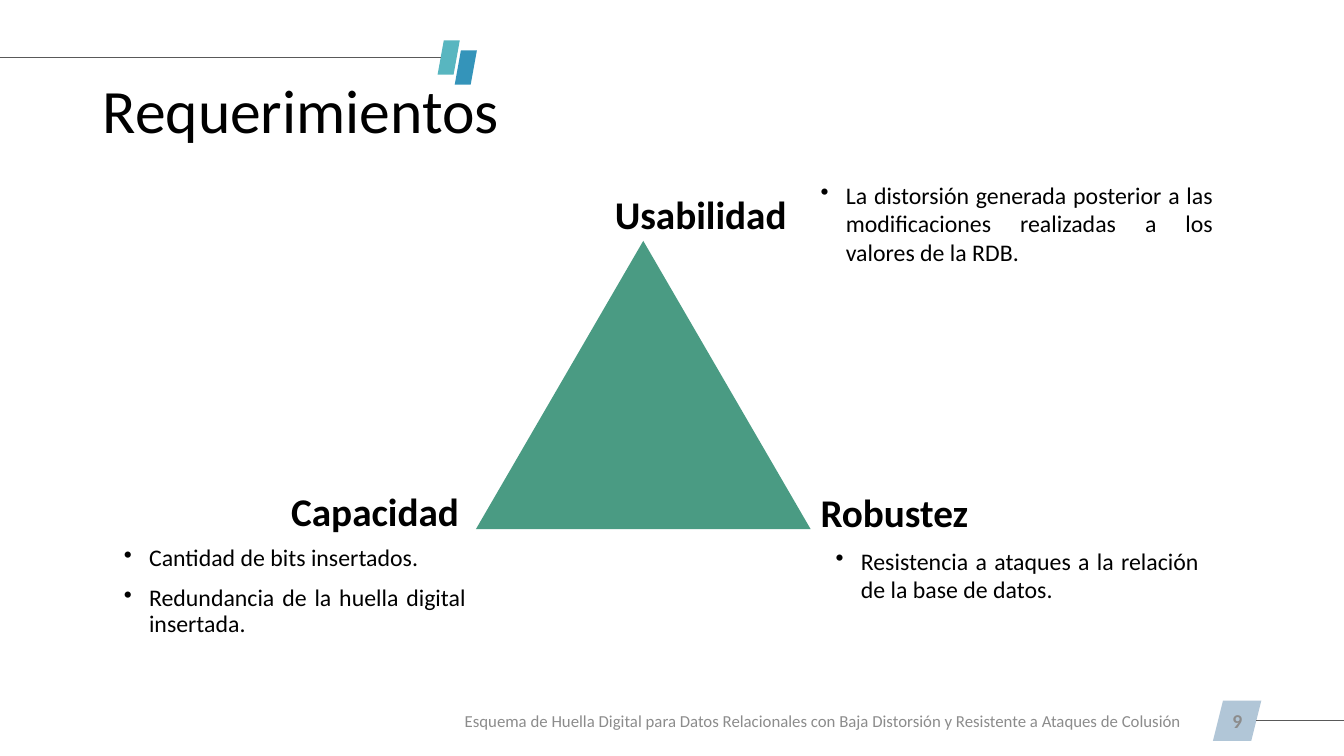
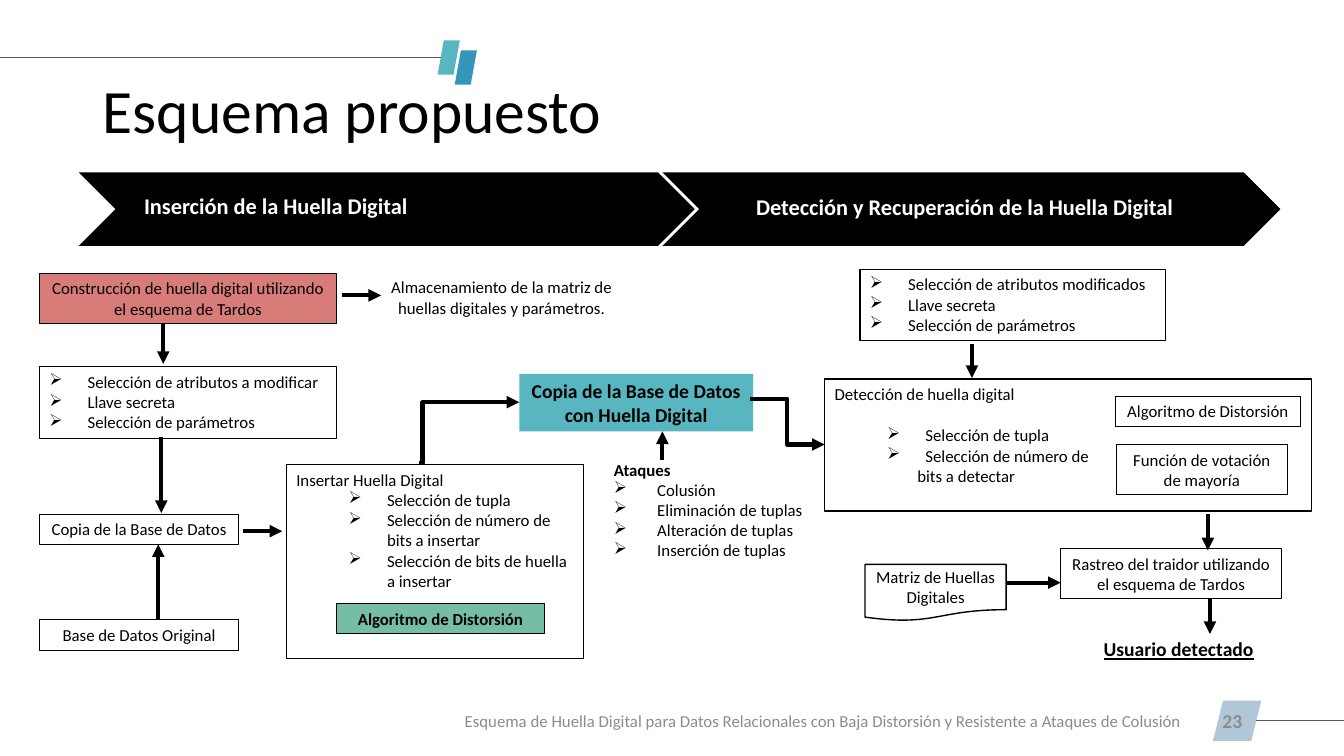
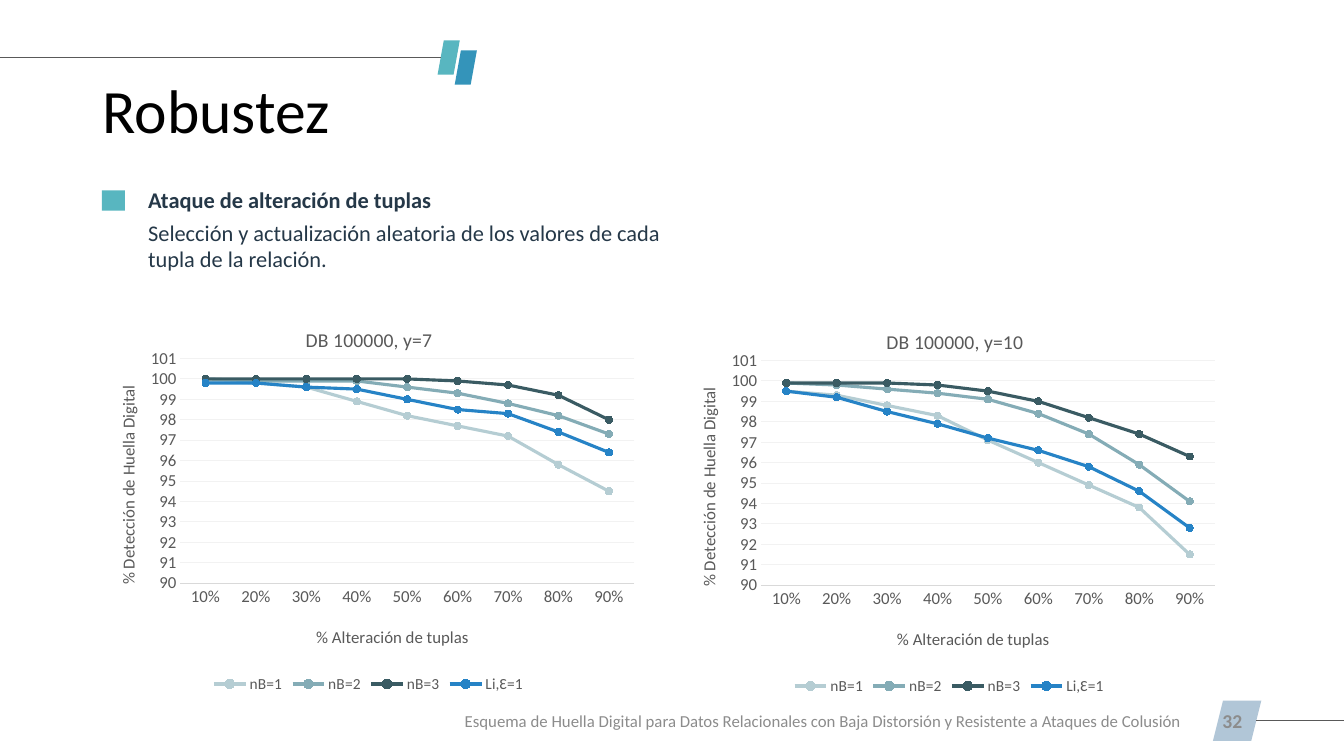
from lxml import etree
from pptx import Presentation
from pptx import util as u
from pptx.chart.data import CategoryChartData
from pptx.dml.color import RGBColor
from pptx.enum import chart as ch, shapes, text
from pptx.oxml.ns import qn

PX = 9144  # 100 px to the inch
FONT = "Calibri"
BLACK, WHITE, GRAY, DARK, NAVY = "000000", "FFFFFF", "8C8C8C", "595959", "253848"
TEAL, BLUE, PALE, GREEN, MINT, RED = "58B6C0", "3494BA", "B1C6D7", "4A9B83", "75BDA7", "D87C79"
FOOT = ("Esquema de Huella Digital para Datos Relacionales con Baja Distorsión "
        "y Resistente a Ataques de Colusión")
rgb = RGBColor.from_string
KIND = shapes.MSO_SHAPE
LEFT, MID, RIGHT, JUST = (text.PP_ALIGN.LEFT, text.PP_ALIGN.CENTER,
                          text.PP_ALIGN.RIGHT, text.PP_ALIGN.JUSTIFY)


def box(slide, at, lines=(), kind=None, fill=None, edge=None, size=12, tint=BLACK,
        bold=False, align=LEFT, mid=False, lead=1, gap=0, left=38, hang=38, inset=True):
    """Draw a shape, or a text box if kind is None; lines that start with • or ➢ get that bullet."""
    at = [n * PX for n in at]
    if kind is None:
        shape = slide.shapes.add_textbox(*at)
    else:
        shape = slide.shapes.add_shape(kind, *at)
        shape.shadow.inherit = False
        if fill:
            shape.fill.solid()
            shape.fill.fore_color.rgb = rgb(fill)
        else:
            shape.fill.background()
        if edge:
            shape.line.color.rgb = rgb(BLACK)
            shape.line.width = u.Pt(edge)
        else:
            shape.line.fill.background()
    frame = shape.text_frame
    frame.word_wrap = True
    frame.vertical_anchor = text.MSO_ANCHOR.MIDDLE if mid else text.MSO_ANCHOR.TOP
    if not inset:
        frame.margin_left = frame.margin_right = frame.margin_top = frame.margin_bottom = 0
    for i, line in enumerate(lines):
        para = frame.add_paragraph() if i else frame.paragraphs[0]
        para.text = line.lstrip("•➢")
        if line[0] in "•➢":
            props = para._p.get_or_add_pPr()
            props.set("marL", str(left * PX))
            props.set("indent", str(-hang * PX))
            etree.SubElement(props, qn("a:buChar")).set("char", line[0])
        para.alignment = align
        para.line_spacing = lead
        if i and gap:
            para.space_before = u.Pt(gap)
        for run in para.runs:
            run.font.name, run.font.size, run.font.bold = FONT, u.Pt(size), bold
            run.font.color.rgb = rgb(tint)
    return shape


def link(slide, ends, tint=BLACK, width=3, arrow=True, bent=False):
    """Draw a straight or bent line between two points."""
    kind = shapes.MSO_CONNECTOR.ELBOW if bent else shapes.MSO_CONNECTOR.STRAIGHT
    line = slide.shapes.add_connector(kind, *[n * PX for n in ends])
    line.line.color.rgb = rgb(tint)
    line.line.width = u.Pt(width)
    if arrow:
        etree.SubElement(line.line._get_or_add_ln(), qn("a:tailEnd")).set("type", "triangle")
    etree.SubElement(line._element.spPr, qn("a:effectLst"))
    return line


deck = Presentation()
deck.slide_width, deck.slide_height = 1333 * PX, 750 * PX

# Shared title, marks and footer
pages = []
for title, num in (("Requerimientos", "9"), ("Esquema propuesto", "23"), ("Robustez", "32")):
    page = deck.slides.add_slide(deck.slide_layouts[6])
    box(page, (1203, 695, 48, 40), kind=KIND.PARALLELOGRAM, fill=PALE)
    box(page, (92, 40, 1150, 145), [title], size=44, mid=True, lead=0.9)
    box(page, (942, 695, 300, 40), [num], size=14, tint=GRAY, bold=True, align=RIGHT, mid=True)
    for x, y, fill in ((434, 40, TEAL), (451, 50, BLUE)):
        mark = box(page, (x, y, 22, 34), kind=KIND.PARALLELOGRAM, fill=fill)
        mark.adjustments[0] = 0.28
    for ends in ((0, 57, 437, 57), (1246, 715, 1333, 715)):
        link(page, ends, DARK, 1, arrow=False)
    box(page, (451, 695, 751, 40), [FOOT], tint=GRAY, mid=True)
    pages.append(page)
needs, plan, tests = pages

# Requirements triangle
box(needs, (472, 239, 332, 286), kind=KIND.ISOSCELES_TRIANGLE, fill=GREEN)
for at, lead, lines in (
    ((804, 174, 409, 125), 1,
     ["•La distorsión generada posterior a las modificaciones realizadas a los valores de la RDB."]),
    ((819, 537, 380, 125), 1, ["•Resistencia a ataques a la relación de la base de datos."]),
    ((113, 537, 359, 125), 0.9,
     ["•Cantidad de bits insertados.", "•Redundancia de la huella digital insertada."]),
):
    box(needs, at, lines, size=17, align=JUST, lead=lead, gap=10, left=25, hang=25)
for at, name in (((279, 484, 213, 43), "Capacidad"), ((804, 485, 220, 100), "Robustez"),
                 ((600, 189, 220, 100), "Usabilidad")):
    box(needs, at, [name], size=28, bold=True, lead=0.9)

# Proposed scheme: phases
for x, wide, at, name in (
    (78, 611, (133, 186, 435, 37), "Inserción de la Huella Digital"),
    (657, 613, (740, 187, 501, 37), "Detección y Recuperación de la Huella Digital"),
):
    box(plan, (x, 171, wide, 73), kind=KIND.CHEVRON, fill=BLACK)
    box(plan, at, [name], size=16, tint=WHITE, bold=True)

# Proposed scheme: centred steps
for at, name, fill in (
    ((39, 271, 295, 50), "Construcción de huella digital utilizando el esquema de Tardos", RED),
    ((39, 615, 198, 30), "Base de Datos Original", None),
    ((39, 510, 198, 30), "Copia de la Base de Datos", None),
    ((1107, 441, 170, 50), "Función de votación de mayoría", None),
    ((1106, 393, 184, 30), "Algoritmo de Distorsión", None),
    ((1052, 544, 219, 50), "Rastreo del traidor utilizando el esquema de Tardos", None),
    ((334, 599, 206, 30), "Algoritmo de Distorsión", MINT),
):
    box(plan, at, [name], KIND.RECTANGLE, fill, 0.75, align=MID, mid=True, bold=fill == MINT)
box(plan, (858, 560, 140, 56), ["Matriz de Huellas Digitales"],
    KIND.FLOWCHART_DOCUMENT, edge=1, align=MID, mid=True)
box(plan, (515, 371, 232, 57), ["Copia de la Base de Datos con Huella Digital"],
    KIND.RECTANGLE, TEAL, size=14, bold=True, align=MID)
box(plan, (373, 270, 249, 50),
    ["Almacenamiento de la matriz de huellas digitales y parámetros."], align=MID)
user = box(plan, (1080, 627, 178, 35), ["Usuario detectado"], size=14, bold=True, align=MID)
user.text_frame.paragraphs[0].runs[0].font.underline = True

# Proposed scheme: lists
for at, first in (((39, 364, 295, 71), "➢Selección de atributos a modificar"),
                  ((853, 267, 303, 71), "➢Selección de atributos modificados")):
    box(plan, at, [first, "➢Llave secreta", "➢Selección de parámetros"], KIND.RECTANGLE, edge=0.75)
box(plan, (284, 461, 295, 192),
    ["Insertar Huella Digital", "➢Selección de tupla", "➢Selección de número de bits a insertar",
     "➢Selección de bits de huella a insertar"], KIND.RECTANGLE, edge=0.75, left=90)
find = box(plan, (818, 376, 483, 131),
           ["Detección de huella digital", "➢Selección de tupla", "➢Selección de número de",
            "bits a detectar"], KIND.RECTANGLE, edge=0.75, left=90)
# Keep the detection box behind the two steps inside it
tree = plan.shapes._spTree
tree.remove(find._element)
tree.insert(2, find._element)
paras = find.text_frame.paragraphs
paras[1].space_before = u.Pt(15)
paras[3]._p.get_or_add_pPr().set("marL", str(82 * PX))
# Likewise the insertion box
frame = plan.shapes[-1]
tree.remove(frame._element)
tree.insert(2, frame._element)
risk = box(plan, (599, 451, 212, 111),
           ["Ataques", "➢Colusión", "➢Eliminación de tuplas", "➢Alteración de tuplas",
            "➢Inserción de tuplas"], left=43, hang=43)
risk.text_frame.paragraphs[0].runs[0].font.bold = True

# Proposed scheme: arrows
for ends in (
    (162, 321, 162, 361), (160, 434, 160, 509), (157, 615, 157, 540), (241, 527, 280, 527),
    (964, 341, 964, 375), (1198, 510, 1198, 546), (998, 578, 1052, 578),
    (1200, 594, 1200, 629), (657, 456, 657, 428), (339, 293, 378, 293),
):
    link(plan, ends)
rise = link(plan, (416, 459, 515, 399), bent=True)
guide = etree.SubElement(rise._element.spPr.find(qn("a:prstGeom")).find(qn("a:avLst")), qn("a:gd"))
guide.set("name", "adj1")
guide.set("fmla", "val 3200")
link(plan, (744, 396, 818, 441), bent=True)

# Robustness text
box(tests, (101, 189, 23, 20), kind=KIND.RECTANGLE, fill=TEAL)
for y, high, line, bold in (
    (185, 27, "Ataque de alteración de tuplas", True),
    (217, 54, "Selección y actualización aleatoria de los valores de cada tupla de la relación.", False),
):
    box(tests, (147, y, 520, high), [line], size=16, tint=NAVY, bold=bold, inset=False)

# Robustness charts
LINES = (("nB=1", "B5CDD3"), ("nB=2", "84ACB6"), ("nB=3", "3A5B63"), ("Li,Ɛ=1", "2683C6"))
for x, y, title, rows in (
    (667, 303, "DB 100000, y=10", (
        (99.5, 99.3, 98.8, 98.3, 97.1, 96, 94.9, 93.8, 91.5),
        (99.9, 99.8, 99.6, 99.4, 99.1, 98.4, 97.4, 95.9, 94.1),
        (99.9, 99.9, 99.9, 99.8, 99.5, 99, 98.2, 97.4, 96.3),
        (99.5, 99.2, 98.5, 97.9, 97.2, 96.6, 95.8, 94.6, 92.8))),
    (91, 301, "DB 100000, y=7", (
        (99.9, 99.8, 99.6, 98.9, 98.2, 97.7, 97.2, 95.8, 94.5),
        (100, 99.9, 99.9, 99.9, 99.6, 99.3, 98.8, 98.2, 97.3),
        (100, 100, 100, 100, 100, 99.9, 99.7, 99.2, 98),
        (99.8, 99.8, 99.6, 99.5, 99, 98.5, 98.3, 97.4, 96.4))),
):
    data = CategoryChartData()
    data.categories = [f"{n}%" for n in range(10, 100, 10)]
    for (name, _), row in zip(LINES, rows):
        data.add_series(name, row)
    chart = tests.shapes.add_chart(ch.XL_CHART_TYPE.LINE_MARKERS, x * PX, y * PX,
                                   549 * PX, 391 * PX, data).chart
    chart.font.name, chart.font.size = FONT, u.Pt(12)
    chart.font.color.rgb = rgb(DARK)
    chart.has_title = chart.has_legend = True
    chart.legend.position = ch.XL_LEGEND_POSITION.BOTTOM
    chart.legend.include_in_layout = False
    chart.legend.font.name, chart.legend.font.size = FONT, u.Pt(11)
    chart.legend.font.color.rgb = rgb(DARK)

    cat, val = chart.category_axis, chart.value_axis
    for axis in (cat, val):
        axis.has_title = True
        axis.major_tick_mark = axis.minor_tick_mark = ch.XL_TICK_MARK.NONE
    cat.format.line.color.rgb = rgb("D9D9D9")
    cat.format.line.width = u.Pt(0.75)
    val.format.line.fill.background()
    val.minimum_scale, val.maximum_scale, val.major_unit = 90, 101, 1
    grid = val.major_gridlines.format.line
    grid.color.rgb = rgb("F2F2F2")
    grid.width = u.Pt(0.75)

    # Titles and plot area, placed as fractions of the chart
    places = [(chart._chartSpace.chart.plotArea, dict(x=0.16, y=0.14, w=0.82, h=0.57))]
    for part, words, size, spot in (
        (chart.chart_title, title, 14, dict(x=0.38, y=0.05)),
        (cat.axis_title, "% Alteración de tuplas", 12, dict(x=0.4, y=0.81)),
        (val.axis_title, "% Detección de Huella Digital", 12, dict(x=0.04, y=0.2)),
    ):
        part.text_frame.text = words
        font = part.text_frame.paragraphs[0].runs[0].font
        font.name, font.size, font.bold = FONT, u.Pt(size), False
        font.color.rgb = rgb(DARK)
        places.append((part._element, spot))
    turn = val.axis_title.text_frame._txBody.bodyPr
    turn.set("rot", "-5400000")
    turn.set("vert", "horz")
    for part, spot in places:
        for old in part.findall(qn("c:layout")):
            part.remove(old)
        layout = etree.Element(qn("c:layout"))
        part.insert(len(part.findall(qn("c:tx"))), layout)
        manual = etree.SubElement(layout, qn("c:manualLayout"))
        if "w" in spot:
            etree.SubElement(manual, qn("c:layoutTarget")).set("val", "inner")
        for key in "xy":
            etree.SubElement(manual, qn(f"c:{key}Mode")).set("val", "edge")
        for key, share in spot.items():
            etree.SubElement(manual, qn(f"c:{key}")).set("val", str(share))

    chart.plots[0].vary_by_categories = False
    for series, (_, tint) in zip(chart.plots[0].series, LINES):
        series.smooth = False
        series.format.line.color.rgb = rgb(tint)
        series.format.line.width = u.Pt(2.25)
        series.marker.style, series.marker.size = ch.XL_MARKER_STYLE.CIRCLE, 5
        series.marker.format.fill.solid()
        series.marker.format.fill.fore_color.rgb = rgb(tint)
        series.marker.format.line.color.rgb = rgb(tint)

deck.save("out.pptx")
